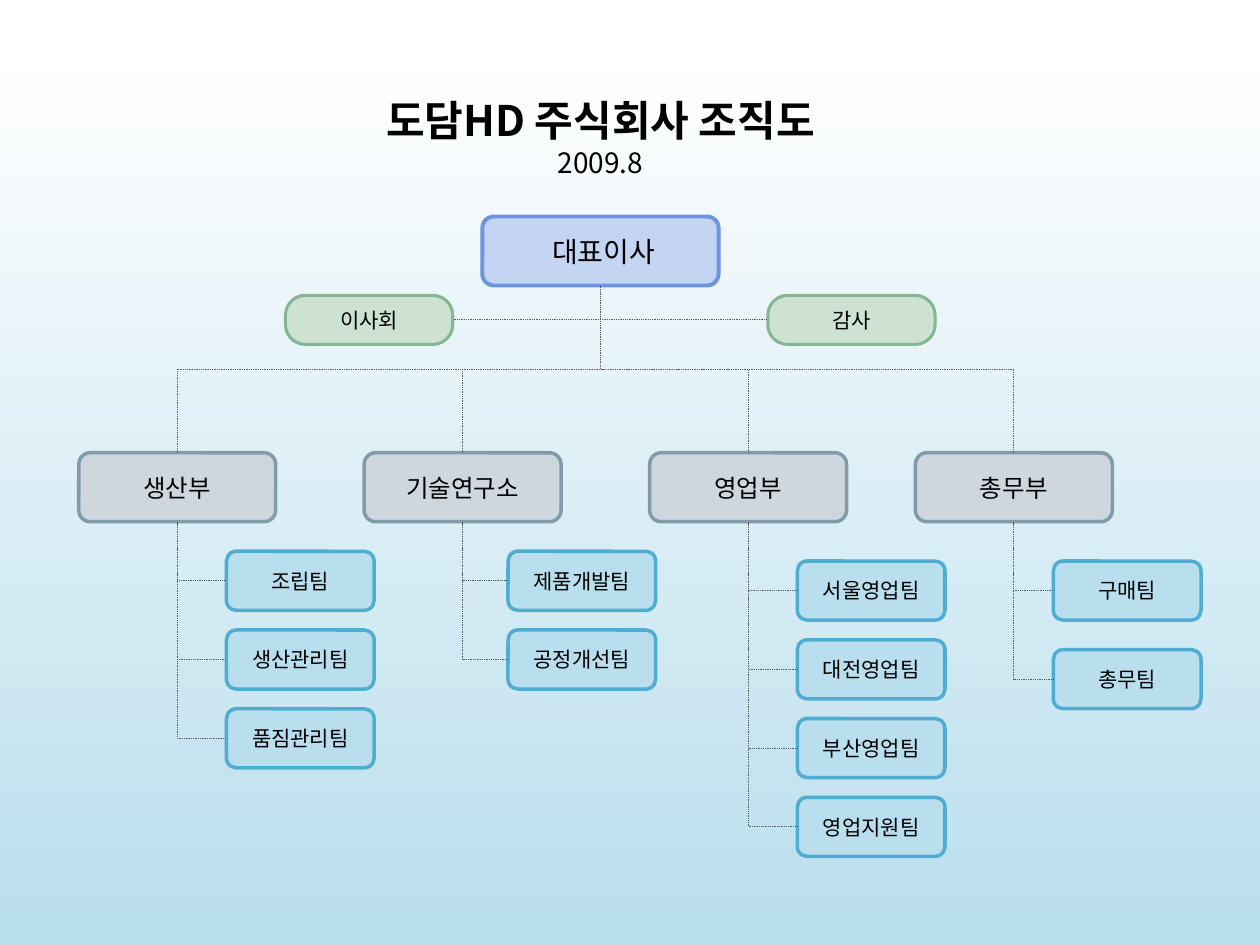
from dataclasses import dataclass

from lxml.etree import SubElement
from pptx import Presentation
from pptx.dml.color import RGBColor
from pptx.enum.dml import MSO_LINE
from pptx.enum.shapes import MSO_CONNECTOR, MSO_SHAPE
from pptx.enum.text import MSO_ANCHOR, MSO_AUTO_SIZE, PP_ALIGN
from pptx.oxml.ns import qn
from pptx.util import Pt


@dataclass(frozen=True)
class BoxStyle:
    """Look of one rank of boxes."""
    fill: str
    line: str
    line_width: float
    text_size: int
    corner: float = 0.1667


@dataclass(frozen=True)
class Theme:
    """Colours and type sizes of the slide."""
    font: str = "Noto Sans CJK KR"
    ink: str = "000000"
    connector: str = "595959"
    sky: str = "B9DEED"
    white: str = "FFFFFF"
    title_size: int = 24
    date_size: int = 16
    chief: BoxStyle = BoxStyle("C4D4F3", "6B94E2", 2.25, 16)
    adviser: BoxStyle = BoxStyle("CEE2D3", "85B692", 1.75, 12, 0.405)
    department: BoxStyle = BoxStyle("CDD7DD", "819BAB", 2, 14)
    team: BoxStyle = BoxStyle("B9DEED", "4FADD1", 2, 12)


THEME = Theme()
BOTTOM, LEFT, RIGHT, TOP = 2, 1, 3, 0
TEAM_SIZE = (84.4, 33.75)
DEPARTMENT_TOP = 258.75
DEPARTMENT_SIZE = (112.5, 39.4)
DEPARTMENTS = [
    ("생산부", 45, (129.4, 315), 45, ["조립팀", "생산관리팀", "품짐관리팀"]),
    ("기술연구소", 208.1, (290.3, 315), 45, ["제품개발팀", "공정개선팀"]),
    ("영업부", 371.25, (455.6, 320.6), 45,
     ["서울영업팀", "대전영업팀", "부산영업팀", "영업지원팀"]),
    ("총무부", 523.1, (601.9, 320.6), 50.6, ["구매팀", "총무팀"]),
]


def add_span(para, text, size, bold=False):
    """Add one centred run in the theme font."""
    para.alignment = PP_ALIGN.CENTER
    span = para.add_run()
    span.text = text
    span.font.size = Pt(size)
    span.font.bold = bold
    span.font.color.rgb = RGBColor.from_string(THEME.ink)
    span.font.name = THEME.font
    SubElement(span.font._element, qn("a:ea")).set("typeface", THEME.font)


def add_box(page, text, bounds, style):
    """Add a rounded box with a centred label."""
    box = page.shapes.add_shape(MSO_SHAPE.ROUNDED_RECTANGLE, *map(Pt, bounds))
    box.shadow.inherit = False
    box.adjustments[0] = style.corner
    box.fill.solid()
    box.fill.fore_color.rgb = RGBColor.from_string(style.fill)
    box.line.color.rgb = RGBColor.from_string(style.line)
    box.line.width = Pt(style.line_width)
    box.text_frame.vertical_anchor = MSO_ANCHOR.MIDDLE
    add_span(box.text_frame.paragraphs[0], text, style.text_size)
    return box


def add_branch(page, parent, child, side):
    """Join the bottom of the parent to one side of the child, leaving downwards."""
    branch = page.shapes.add_connector(MSO_CONNECTOR.ELBOW, 0, 0, 0, 0)
    branch.begin_connect(parent, BOTTOM)
    branch.end_connect(child, side)
    start_x, start_y = parent.left + parent.width // 2, parent.top + parent.height
    end_x = child.left + {TOP: child.width // 2, LEFT: 0, RIGHT: child.width}[side]
    end_y = child.top + (0 if side == TOP else child.height // 2)
    drop, reach = end_y - start_y, abs(end_x - start_x)
    branch.left = (start_x + end_x - drop) // 2
    branch.top = (start_y + end_y - reach) // 2
    branch.width, branch.height = drop, reach
    goes_right = end_x > start_x
    properties = branch._element.spPr
    frame = properties.find(qn("a:xfrm"))
    frame.set("rot", "16200000" if goes_right else "5400000")
    frame.set("flipH", "1" if goes_right else "0")
    frame.set("flipV", "0")
    if side != TOP:
        properties.find(qn("a:prstGeom")).set("prst", "bentConnector2")
    branch.line.color.rgb = RGBColor.from_string(THEME.connector)
    branch.line.width = Pt(0.5)
    branch.line.dash_style = MSO_LINE.ROUND_DOT
    SubElement(properties, qn("a:effectLst"))


def paint_background(page):
    """Fade the page from sky blue at the foot to white at the head."""
    fill = page.background.fill
    fill.gradient()
    fill.gradient_angle = 90
    stops = [(0, THEME.sky), (0.95, THEME.white)]
    for stop, (position, colour) in zip(fill.gradient_stops, stops):
        stop.position = position
        stop.color.rgb = RGBColor.from_string(colour)


def add_heading(page, bounds):
    """Add the title with its date below."""
    frame = page.shapes.add_textbox(*map(Pt, bounds)).text_frame
    frame.word_wrap = True
    frame.auto_size = MSO_AUTO_SIZE.SHAPE_TO_FIT_TEXT
    add_span(frame.paragraphs[0], "도담HD 주식회사 조직도", THEME.title_size, True)
    add_span(frame.add_paragraph(), "2009.8", THEME.date_size)


def add_leadership(page, bounds):
    """Add the chief and the two advisers, and return the chief."""
    left, top, width, height = bounds
    chief = add_box(page, " 대표이사", (left + 112.5, top, 135, 39.4), THEME.chief)
    adviser_width, adviser_height = 95.6, 28.1
    adviser_top = top + height - adviser_height
    for text, adviser_left, side in [("이사회", left, RIGHT),
                                     ("감사", left + width - adviser_width, LEFT)]:
        adviser = add_box(page, text, (adviser_left, adviser_top, adviser_width, adviser_height),
                          THEME.adviser)
        add_branch(page, chief, adviser, side)
    return chief


def add_department(page, chief, name, bounds, team_corner, pitch, teams):
    """Add a department under the chief, with its teams stacked below."""
    department = add_box(page, name, bounds, THEME.department)
    add_branch(page, chief, department, TOP)
    left, top = team_corner
    for row, team_name in enumerate(teams):
        team = add_box(page, team_name, (left, top + row * pitch, *TEAM_SIZE), THEME.team)
        add_branch(page, department, team, LEFT)


def main():
    """Build the organisation chart."""
    deck = Presentation()
    deck.slide_width, deck.slide_height = Pt(720), Pt(540)
    page = deck.slides.add_slide(deck.slide_layouts[6])
    paint_background(page)
    add_heading(page, (174.4, 50.6, 337.5, 55.4))
    chief = add_leadership(page, (163.1, 123.75, 371.25, 73.1))
    for name, left, team_corner, pitch, teams in DEPARTMENTS:
        bounds = (left, DEPARTMENT_TOP, *DEPARTMENT_SIZE)
        add_department(page, chief, name, bounds, team_corner, pitch, teams)
    deck.save("out.pptx")


if __name__ == "__main__":
    main()
